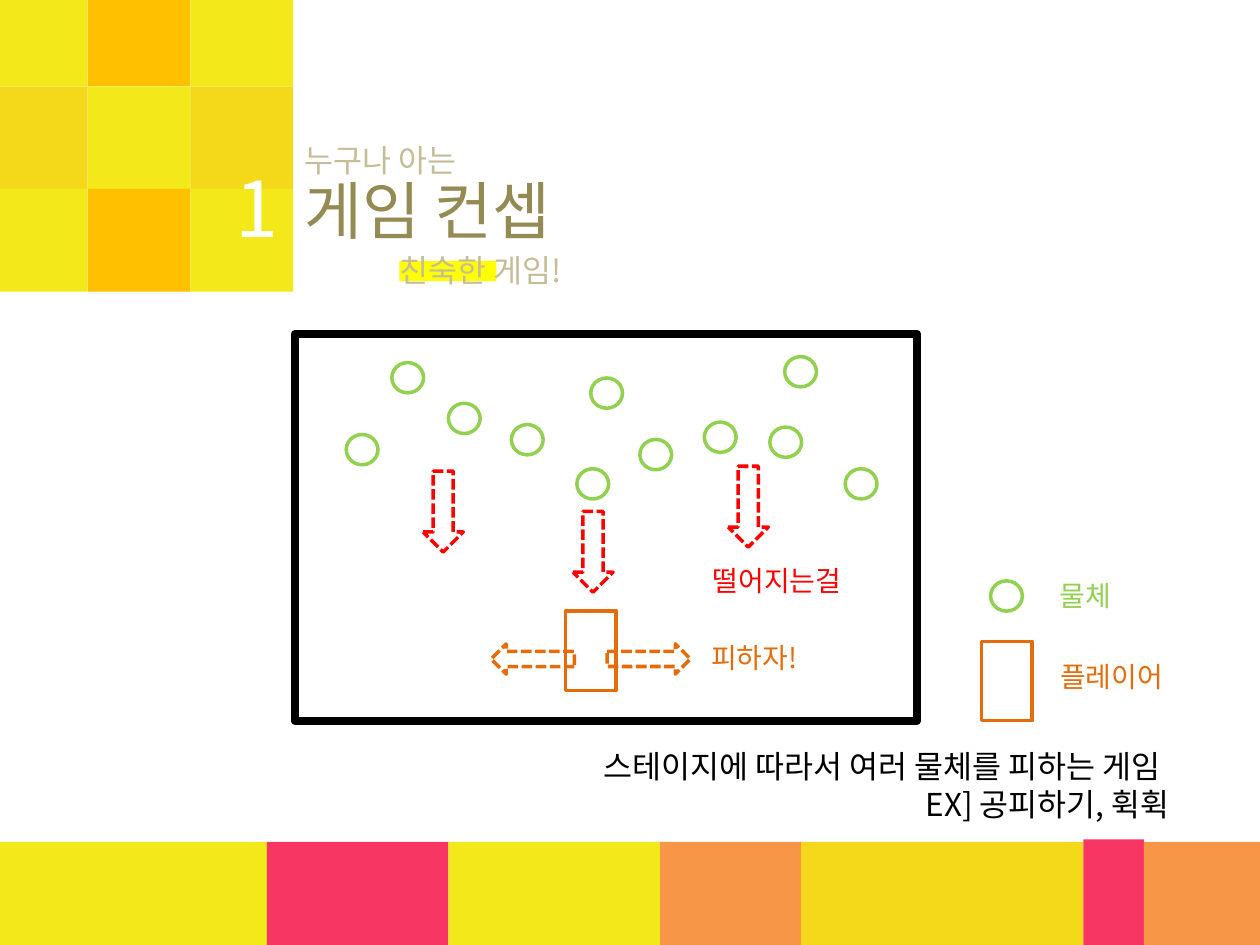
from lxml import etree
from pptx import Presentation
from pptx.dml.color import RGBColor
from pptx.enum.dml import MSO_LINE
from pptx.enum.shapes import MSO_SHAPE
from pptx.oxml.ns import qn
from pptx.util import Cm, Pt

RECT, OVAL = MSO_SHAPE.RECTANGLE, MSO_SHAPE.OVAL
DOWN, RIGHT = MSO_SHAPE.DOWN_ARROW, MSO_SHAPE.RIGHT_ARROW
DASH = MSO_LINE.SQUARE_DOT
FONT = "Noto Sans CJK KR"
COLORS = {
    "yellow": "F2E81A", "gold": "F3D919", "amber": "FFC000", "pink": "F83664",
    "orange": "F79646", "marker": "FFFF00", "olive": "948A54", "sand": "C4BD97",
    "object": "92D050", "player": "E46C0A", "fall": "FF0000",
    "black": "000000", "white": "FFFFFF",
}
OBJECT_SIZE = (0.64, 0.61)
PLAYER_SIZE = (1.02, 1.6)


def rgb(name):
    """Return the named colour."""
    return RGBColor.from_string(COLORS[name])


def draw(slide, kind, x, y, w, h, fill=None, line=None, weight=2, dash=None):
    """Add a shape, filled or outlined, measured in centimetres."""
    shape = slide.shapes.add_shape(kind, Cm(x), Cm(y), Cm(w), Cm(h))
    shape.shadow.inherit = False
    if fill:
        shape.fill.solid()
        shape.fill.fore_color.rgb = rgb(fill)
    else:
        shape.fill.background()
    if line:
        shape.line.color.rgb = rgb(line)
        shape.line.width = Pt(weight)
        if dash:
            shape.line.dash_style = dash
    else:
        shape.line.fill.background()
    return shape


def write(slide, text, x, y, w, h, size, color, wrap=True):
    """Add a text box in one size and colour and return its frame."""
    frame = slide.shapes.add_textbox(Cm(x), Cm(y), Cm(w), Cm(h)).text_frame
    frame.word_wrap = wrap
    frame.text = text
    for paragraph in frame.paragraphs:
        for run in paragraph.runs:
            run.font.size = Pt(size)
            run.font.color.rgb = rgb(color)
            run.font.name = FONT
            east_asian = etree.SubElement(run.font._element, qn("a:ea"))
            east_asian.set("typeface", FONT)
    return frame


def add_color_band(slide, x, y, h):
    """Add the strip of coloured blocks along the bottom."""
    blocks = [("yellow", 5.38, 0), ("pink", 3.66, 0), ("yellow", 4.27, 0),
              ("orange", 2.84, 0), ("gold", 5.69, 0), ("pink", 1.22, 0.05),
              ("orange", 2.75, 0)]
    for color, width, rise in blocks:
        draw(slide, RECT, x, y - rise, width, h + rise, fill=color)
        x += width


def add_checkerboard(slide, x, y, cell):
    """Add the three by three block of coloured squares."""
    rows = [("yellow", "amber", "yellow"), ("gold", "yellow", "gold"),
            ("yellow", "amber", "yellow")]
    for row, colors in enumerate(rows):
        for column, color in enumerate(colors):
            draw(slide, RECT, x + column * cell, y + row * cell, cell, cell, fill=color)


def add_heading(slide, x, y):
    """Add the section number, the title and the lines around it."""
    draw(slide, RECT, x + 3.55, y + 2.54, 1.96, 0.41, fill="marker")
    write(slide, "1", x, y + 0.4, 2.49, 2.13, 44, "white")
    write(slide, "누구나 아는", x + 1.39, y, 15.6, 1.02, 18, "sand")
    write(slide, "게임 컨셉", x + 1.39, y + 0.61, 15.6, 1.8, 36, "olive")
    write(slide, "친숙한 게임!", x + 3.3, y + 2.21, 4.09, 1.02, 18, "sand", wrap=False)


def add_game_screen(slide, x, y, w, h):
    """Add the framed game screen with falling objects and the player."""
    objects = [(3.1, 1.4), (4.37, 1.83), (5.97, 0.89), (6.96, 2.13),
               (8.26, 1.78), (9.58, 1.88), (1.04, 2.03), (5.69, 2.72),
               (1.96, 0.58), (11.1, 2.72), (9.88, 0.46)]
    draw(slide, RECT, x, y, w, h, line="black", weight=4.5)
    for dx, dy in objects:
        draw(slide, OVAL, x + dx, y + dy, *OBJECT_SIZE, line="object")
    for dx, dy in [(2.59, 2.77), (5.61, 3.58), (8.74, 2.67)]:
        draw(slide, DOWN, x + dx, y + dy, 0.81, 1.63, line="fall", dash=DASH)
    draw(slide, RECT, x + 5.46, y + 5.59, *PLAYER_SIZE, line="player")
    for dx, turn in [(6.3, 0), (3.96, 180)]:
        move = draw(slide, RIGHT, x + dx, y + 6.25, 1.68, 0.61, line="player", dash=DASH)
        move.rotation = turn
    write(slide, "떨어지는걸", x + 8.18, y + 4.5, 3.4, 0.94, 16, "fall")
    write(slide, "피하자!", x + 8.15, y + 6.05, 3, 0.94, 16, "player")


def add_legend(slide, x, y):
    """Add the key for objects and player."""
    draw(slide, OVAL, x + 0.18, y + 0.18, *OBJECT_SIZE, line="object")
    write(slide, "물체", x + 1.32, y, 3.61, 0.94, 16, "object")
    draw(slide, RECT, x, y + 1.4, *PLAYER_SIZE, line="player")
    write(slide, "플레이어", x + 1.33, y + 1.65, 2.97, 0.94, 16, "player")


def add_summary(slide, x, y, w, h):
    """Add the description with its indented example line."""
    summary = write(slide, "스테이지에 따라서 여러 물체를 피하는 게임\nEX] 공피하기, 휙휙",
                    x, y, w, h, 18, "black")
    example = summary.paragraphs[1]
    example._p.get_or_add_pPr().set("marL", str(Cm(6.5)))


prs = Presentation()
prs.slide_width, prs.slide_height = Cm(25.4), Cm(19.05)
concept = prs.slides.add_slide(prs.slide_layouts[6])
add_color_band(concept, 0, 16.97, 2.13)
add_checkerboard(concept, -0.3, -0.33, 2.07)
add_heading(concept, 4.5, 2.72)
add_summary(concept, 11.91, 14.94, 13.2, 2)
add_game_screen(concept, 5.94, 6.73, 12.55, 7.8)
add_legend(concept, 19.79, 11.53)
prs.save("out.pptx")
